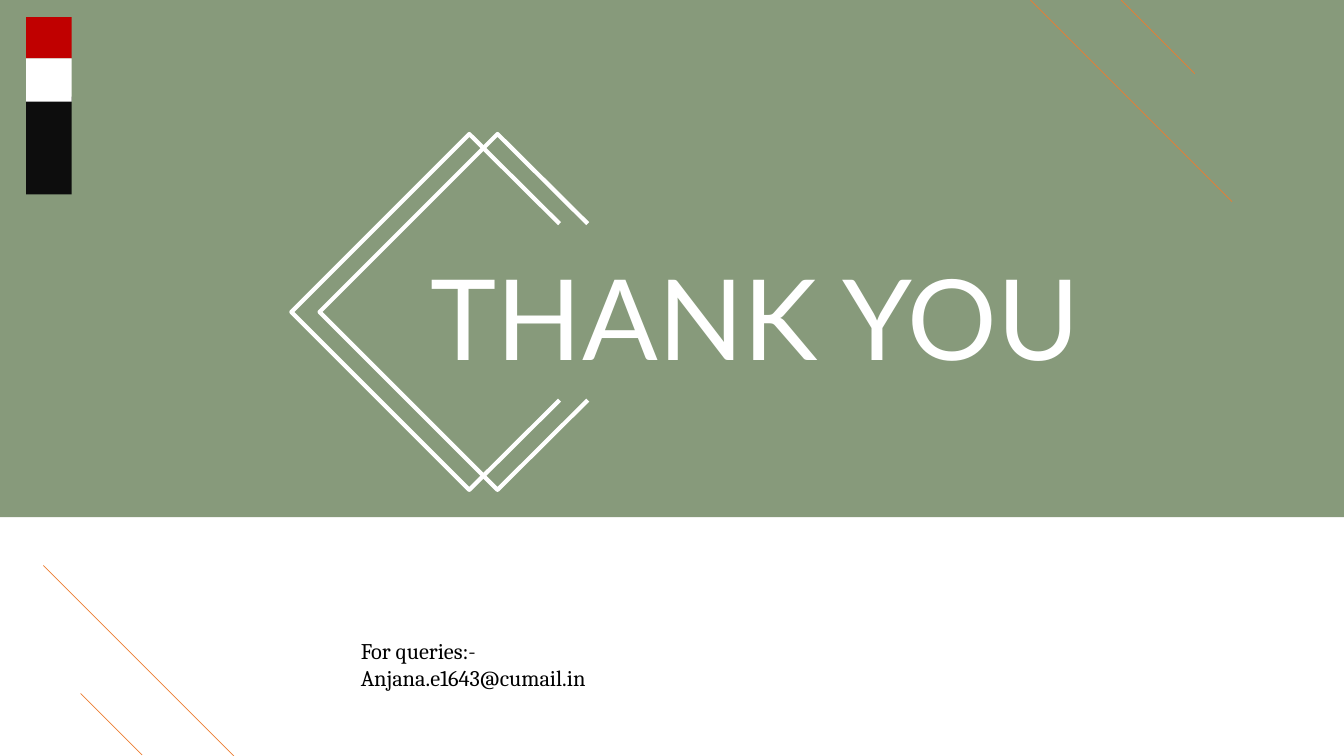
"""Builds a closing slide with a thank-you banner and a contact line."""
from dataclasses import dataclass

from lxml import etree
from pptx import Presentation
from pptx.dml.color import RGBColor
from pptx.enum.shapes import MSO_CONNECTOR, MSO_SHAPE
from pptx.enum.text import MSO_ANCHOR, MSO_AUTO_SIZE, PP_ALIGN
from pptx.oxml.ns import qn
from pptx.util import Inches, Pt

RECT = MSO_SHAPE.RECTANGLE
STRAIGHT = MSO_CONNECTOR.STRAIGHT
MIDDLE, TOP = MSO_ANCHOR.MIDDLE, MSO_ANCHOR.TOP
CENTER, LEFT = PP_ALIGN.CENTER, PP_ALIGN.LEFT
FIT_SHAPE = MSO_AUTO_SIZE.SHAPE_TO_FIT_TEXT


@dataclass(frozen=True)
class Theme:
    """Colours, fonts and sizes of the slide."""
    green: str = "385723"
    green_opacity: int = 60
    orange: str = "ED7D31"
    red: str = "C00000"
    black: str = "0D0D0D"
    white: str = "FFFFFF"
    text: str = "000000"
    title_font: str = "Lato"
    body_font: str = "Cambria"
    title_size: int = 80
    body_size: int = 16
    hairline: float = 0.5
    bracket_line: float = 3


THEME = Theme()


def add_rect(s, box, color, opacity=100):
    """Add a borderless rectangle, see-through below full opacity."""
    sp = s.shapes.add_shape(RECT, *map(Inches, box))
    sp.shadow.inherit = False
    sp.fill.solid()
    sp.fill.fore_color.rgb = RGBColor.from_string(color)
    sp.line.fill.background()
    if opacity < 100:
        clr = sp.fill._xPr.find(".//" + qn("a:srgbClr"))
        etree.SubElement(clr, qn("a:alpha"), val=str(opacity * 1000))


def add_diagonals(s, lines):
    """Draw 45-degree hairlines, each given as left, top and run."""
    for x, y, run in lines:
        cx = s.shapes.add_connector(
            STRAIGHT, *map(Inches, (x, y, x + run, y + run)))
        cx.line.color.rgb = RGBColor.from_string(THEME.orange)
        cx.line.width = Pt(THEME.hairline)
        etree.SubElement(cx._element.spPr, qn("a:effectLst"))


def add_text(s, box, lines, font, size, color, align=LEFT, anchor=TOP, inset=None):
    """Add a wrapping text box with one paragraph per line."""
    tf = s.shapes.add_textbox(*map(Inches, box)).text_frame
    tf.word_wrap = True
    tf.auto_size = FIT_SHAPE
    tf.vertical_anchor = anchor
    if inset is not None:
        tf.margin_left = tf.margin_right = Inches(inset)
        tf.margin_top = tf.margin_bottom = Inches(inset)
    tf.text = "\n".join(lines)
    for p in tf.paragraphs:
        p.alignment = align
        p.font.name = font
        p.font.size = Pt(size)
        p.font.color.rgb = RGBColor.from_string(color)


def add_brackets(s, box, shift):
    """Draw two open diamond outlines, the second shifted right."""
    left, top, width, height = box
    half, arm = height / 2, 0.89
    points = [(width, height - arm), (half, height), (0, half),
              (half, 0), (width, arm)]
    for x in (left, left + shift):
        outline = [(Inches(x + dx), Inches(top + dy)) for dx, dy in points]
        builder = s.shapes.build_freeform(*outline[0])
        builder.add_line_segments(outline[1:], close=False)
        sp = builder.convert_to_shape()
        sp.shadow.inherit = False
        sp.fill.background()
        sp.line.color.rgb = RGBColor.from_string(THEME.white)
        sp.line.width = Pt(THEME.bracket_line)


def add_flag(s, box):
    """Stack the red, white and black blocks in the corner."""
    left, top, width, height = box
    bands = [(0, 0.41, THEME.red), (0.79, height - 0.79, THEME.black),
             (0.41, 0.43, THEME.white)]
    for dy, h, color in bands:
        add_rect(s, (left, top + dy, width, h), color)


def build_closing(s, width, height):
    """Place all parts of the closing slide."""
    add_rect(s, (0, 0, width, 5.13), THEME.green, THEME.green_opacity)
    add_diagonals(s, [(10.22, 0, 2), (11.12, 0, 0.73),
                      (0.8, height - 0.62, 0.61), (0.43, height - 1.89, 1.89)])
    add_text(s, (1.63, 2.46, 11.73, 1.35), ["THANK YOU"], THEME.title_font,
             THEME.title_size, THEME.white, CENTER, MIDDLE, 0)
    add_brackets(s, (2.89, 1.33, 2.66, 3.53), 0.28)
    add_flag(s, (0.26, 0.17, 0.45, 1.76))
    add_text(s, (3.48, 6.27, 4.7, 0.64),
             ["For queries:-", "Anjana.e1643@cumail.in"],
             THEME.body_font, THEME.body_size, THEME.text)


def main():
    """Create and save the presentation."""
    width, height = 13.33, 7.5
    prs = Presentation()
    prs.slide_width, prs.slide_height = Inches(width), Inches(height)
    build_closing(prs.slides.add_slide(prs.slide_layouts[6]), width, height)
    prs.save("out.pptx")


if __name__ == "__main__":
    main()
